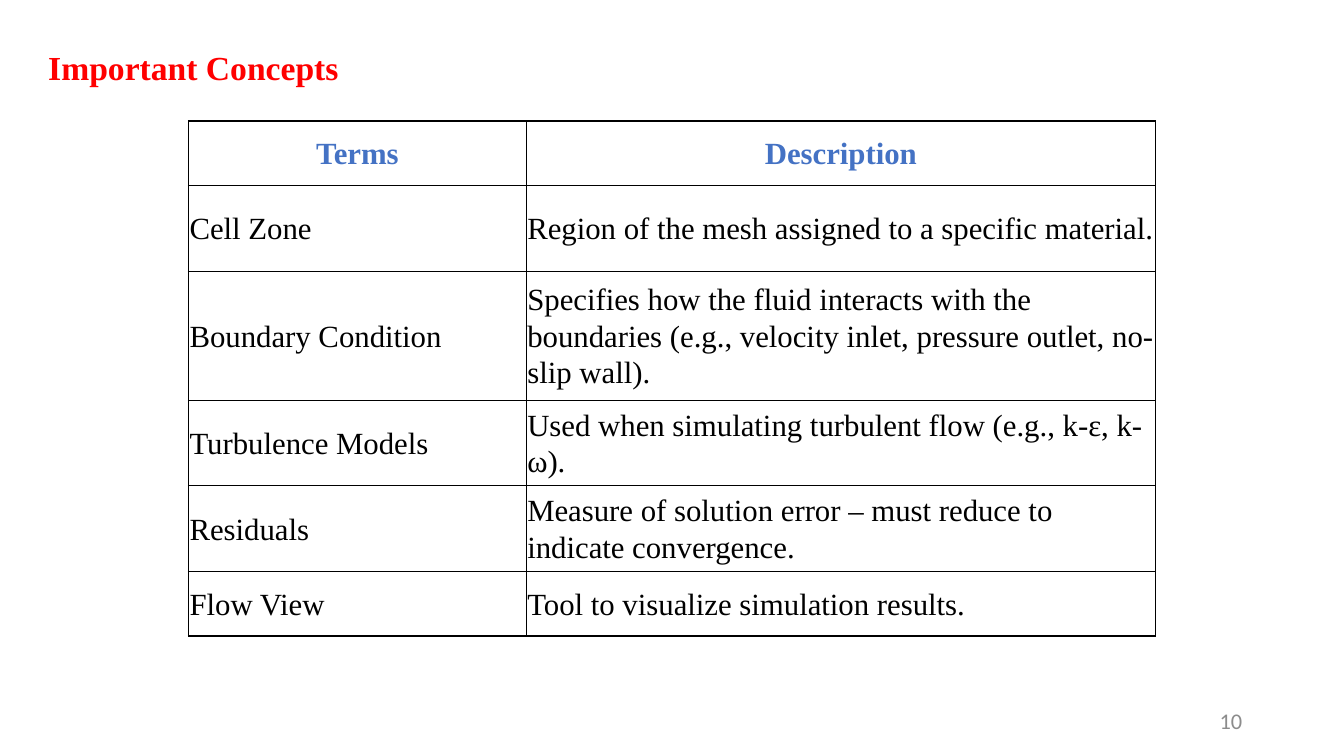
from lxml import etree
from pptx import Presentation
from pptx import util as u
from pptx.dml.color import RGBColor
from pptx.enum import text
from pptx.oxml.ns import qn

SERIF = "Times New Roman"
COLS = [3.35, 6.24]
ROWS = [
    (0.64, "Terms", "Description"),
    (0.85, "Cell Zone", "Region of the mesh assigned to a specific material."),
    (1.28, "Boundary Condition", "Specifies how the fluid interacts with the boundaries "
     "(e.g., velocity inlet, pressure outlet, no-slip wall)."),
    (0.85, "Turbulence Models", "Used when simulating turbulent flow (e.g., k-ε, k-ω)."),
    (0.85, "Residuals", "Measure of solution error – must reduce to indicate convergence."),
    (0.64, "Flow View", "Tool to visualize simulation results."),
]


def color(code):
    """Turn a hex string into a colour."""
    return RGBColor.from_string(code)


def write(frame, words, size, code, font=SERIF, bold=False, **form):
    """Put one styled paragraph in a text frame."""
    para = frame.paragraphs[0]
    for name, value in form.items():
        setattr(para, name, value)
    run = para.add_run()
    run.text = words
    style = {"name": font, "size": u.Pt(size), "bold": bold}
    for name, value in style.items():
        setattr(run.font, name, value)
    run.font.color.rgb = color(code)


def label(slide, box, words, size, code, anchor, top=0.05, **form):
    """Add a wrapped text box."""
    frame = slide.shapes.add_textbox(*map(u.Inches, box)).text_frame
    style = {"word_wrap": True, "vertical_anchor": anchor, "margin_top": u.Inches(top)}
    for name, value in style.items():
        setattr(frame, name, value)
    write(frame, words, size, code, **form)


def border(cell, code, width):
    """Draw a solid line on all four sides of a cell."""
    props = cell._tc.get_or_add_tcPr()
    for spot, side in enumerate(("a:lnL", "a:lnR", "a:lnT", "a:lnB")):
        line = etree.Element(qn(side), w=str(u.Pt(width)))
        fill = etree.SubElement(line, qn("a:solidFill"))
        etree.SubElement(fill, qn("a:srgbClr"), val=code)
        props.insert(spot, line)


def fill(cell, words, head):
    """Write and format one table cell."""
    style = {f"margin_{side}": u.Inches(0.01) for side in ("left", "right", "top", "bottom")}
    style["vertical_anchor"] = text.MSO_ANCHOR.MIDDLE
    for name, value in style.items():
        setattr(cell, name, value)
    cell.fill.solid()
    cell.fill.fore_color.rgb = color("FFFFFF")
    border(cell, "000000", 1)
    write(cell.text_frame, words, 22, "4472C4" if head else "000000", bold=head,
          alignment=text.PP_ALIGN.CENTER if head else text.PP_ALIGN.LEFT,
          line_spacing=1.07, space_after=u.Pt(8))


def grid(slide, left, top):
    """Add the table of terms."""
    box = left, top, sum(COLS), sum(row[0] for row in ROWS)
    table = slide.shapes.add_table(len(ROWS), len(COLS), *map(u.Inches, box)).table
    for col, width in zip(table.columns, COLS):
        col.width = u.Inches(width)
    for r, (height, *words) in enumerate(ROWS):
        table.rows[r].height = u.Inches(height)
        for c, word in enumerate(words):
            fill(table.cell(r, c), word, r == 0)


def main():
    """Build and save the slide."""
    deck = Presentation()
    deck.slide_width, deck.slide_height = u.Inches(13.33), u.Inches(7.5)
    slide = deck.slides.add_slide(deck.slide_layouts[6])
    label(slide, (0.38, 0.34, 11.5, 1.45), "Important Concepts", 24, "FF0000",
          text.MSO_ANCHOR.TOP, top=0.17, bold=True, line_spacing=0.9)
    grid(slide, 1.87, 1.2)
    label(slide, (9.42, 6.95, 3, 0.4), "10", 16, "8C8C8C", text.MSO_ANCHOR.MIDDLE,
          font="Calibri", alignment=text.PP_ALIGN.RIGHT)
    deck.save("out.pptx")


if __name__ == "__main__":
    main()
